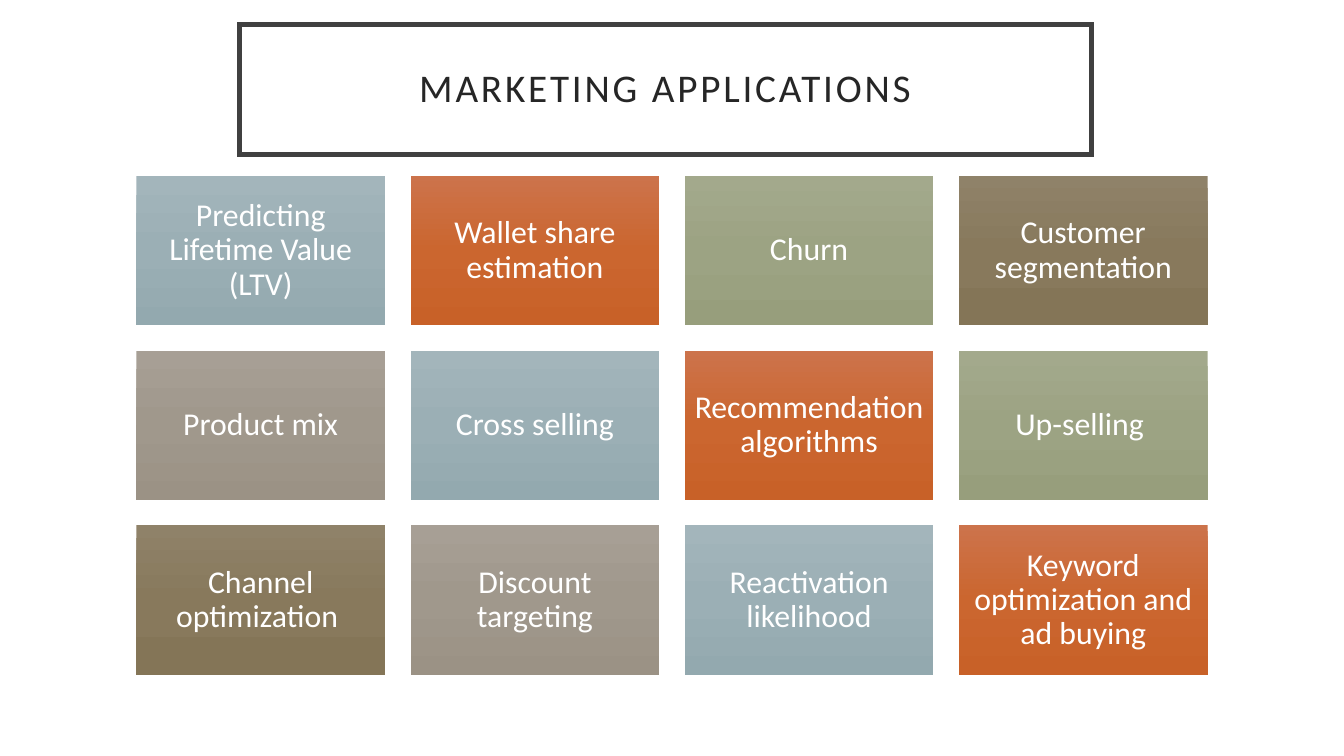
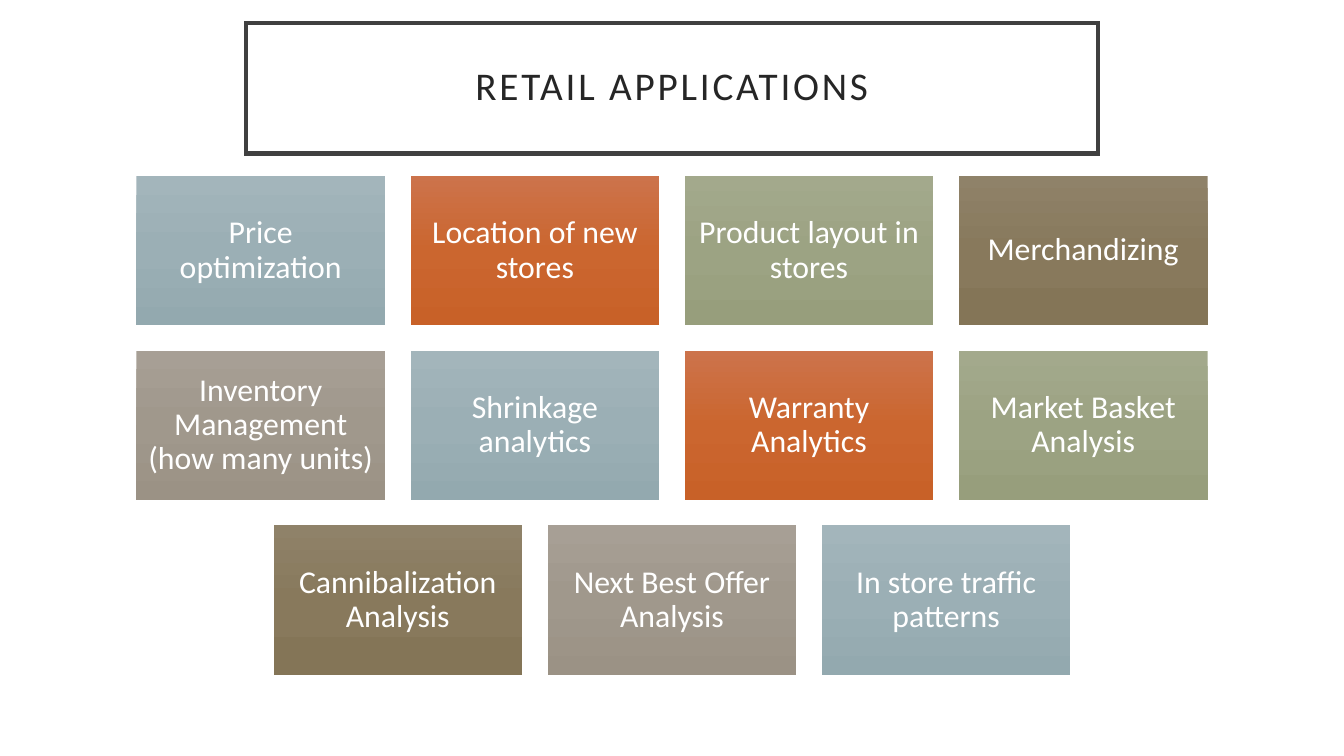
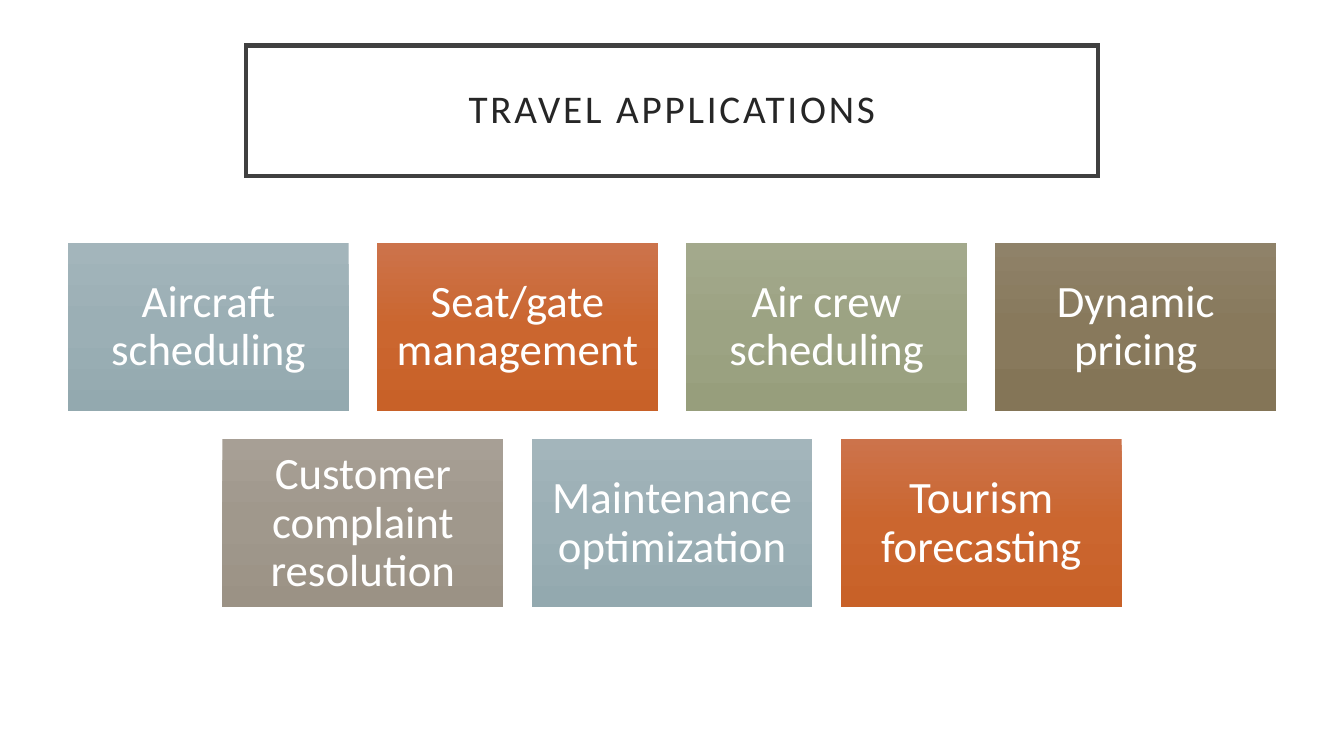
import copy
from dataclasses import dataclass

import lxml.etree
import pptx
import pptx.dml.color
import pptx.enum.shapes
import pptx.enum.text
import pptx.oxml.ns
import pptx.util

Inches = pptx.util.Inches
RGB = pptx.dml.color.RGBColor.from_string
qn = pptx.oxml.ns.qn


@dataclass(frozen=True)
class Theme:
    font: str = "Calibri"
    title_size: int = 21
    title_spacing: int = 150  # hundredths of a point
    title_text: str = "262626"
    title_border: str = "404040"
    white: str = "FFFFFF"
    # Top, middle and bottom colour of each tile gradient
    gradients: tuple = (
        ("A3B5BB", "9BAFB5", "93A9AF"),  # blue grey
        ("CC734B", "CB662F", "C86128"),  # orange
        ("A3A98C", "9CA383", "979E7C"),  # sage
        ("8F8269", "88795C", "847557"),  # brown
        ("A79F95", "A0988C", "9B9285"),  # taupe
    )


@dataclass(frozen=True)
class TileGrid:
    top: float
    width: float
    height: float
    gap: float
    inset: float
    text_size: int


THEME = Theme()
SLIDE_WIDTH = 10
SLIDE_HEIGHT = SLIDE_WIDTH * 9 / 16
TITLE_WIDTH, TITLE_HEIGHT = 6.34, 0.97
COLUMNS = 4

SMALL_TILES = TileGrid(top=1.31, width=1.85, height=1.11, gap=0.19, inset=0.07, text_size=17)
LARGE_TILES = TileGrid(top=1.81, width=2.09, height=1.25, gap=0.21, inset=0.1, text_size=24)

# Title, title left and top, tile grid, tile labels
SLIDES = [
    ("MARKETING APPLICATIONS", 1.78, 0.18, SMALL_TILES, [
        "Predicting Lifetime Value (LTV)", "Wallet share estimation",
        "Churn", "Customer segmentation",
        "Product mix", "Cross selling",
        "Recommendation algorithms", "Up-selling ",
        "Channel optimization ", "Discount targeting",
        "Reactivation likelihood", "Keyword optimization and ad buying",
    ]),
    ("RETAIL APPLICATIONS", 1.83, 0.17, SMALL_TILES, [
        "Price optimization", "Location of new stores",
        "Product layout in stores", "Merchandizing",
        "Inventory Management (how many units)", "Shrinkage analytics",
        "Warranty Analytics", "Market Basket Analysis",
        "Cannibalization Analysis", "Next Best Offer Analysis",
        "In store traffic patterns",
    ]),
    ("TRAVEL APPLICATIONS", 1.83, 0.34, LARGE_TILES, [
        "Aircraft scheduling", "Seat/gate management",
        "Air crew scheduling", "Dynamic pricing",
        "Customer complaint resolution", "Maintenance optimization",
        "Tourism forecasting",
    ]),
]


def write_centred(shape, text, size, color, inset):
    """Write one centred run into a shape."""
    frame = shape.text_frame
    frame.word_wrap = True
    frame.auto_size = pptx.enum.text.MSO_AUTO_SIZE.NONE
    frame.vertical_anchor = pptx.enum.text.MSO_ANCHOR.MIDDLE
    frame.margin_left = frame.margin_right = Inches(inset)
    frame.margin_top = frame.margin_bottom = Inches(inset)
    paragraph = frame.paragraphs[0]
    paragraph.alignment = pptx.enum.text.PP_ALIGN.CENTER
    paragraph.line_spacing = 0.9
    run = paragraph.add_run()
    run.text = text
    run.font.name = THEME.font
    run.font.size = pptx.util.Pt(size)
    run.font.color.rgb = RGB(color)


def fill_gradient(shape, colors):
    """Fill a shape from top to bottom with evenly spaced colours."""
    shape.fill.gradient()
    shape.fill.gradient_angle = 270
    stop_list = shape.element.find(".//" + qn("a:gsLst"))
    while len(stop_list) < len(colors):
        stop_list.append(copy.deepcopy(stop_list[0]))
    for index, (stop, color) in enumerate(zip(shape.fill.gradient_stops, colors)):
        stop.position = index / (len(colors) - 1)
        stop.color.rgb = RGB(color)


presentation = pptx.Presentation()
presentation.slide_width = Inches(SLIDE_WIDTH)
presentation.slide_height = Inches(SLIDE_HEIGHT)
title_only_layout = presentation.slide_layouts[5]

for title_text, title_left, title_top, grid, labels in SLIDES:
    slide = presentation.slides.add_slide(title_only_layout)

    # Title in a frame with square corners and widely spaced letters
    title = slide.shapes.title
    title.left, title.top = Inches(title_left), Inches(title_top)
    title.width, title.height = Inches(TITLE_WIDTH), Inches(TITLE_HEIGHT)
    title.fill.solid()
    title.fill.fore_color.rgb = RGB(THEME.white)
    title.line.color.rgb = RGB(THEME.title_border)
    title.line.width = pptx.util.Pt(2.5)
    lxml.etree.SubElement(title.element.find(".//" + qn("a:ln")), qn("a:miter"), lim="800000")
    write_centred(title, title_text, THEME.title_size, THEME.title_text, 0.2)
    title.element.find(".//" + qn("a:rPr")).set("spc", str(THEME.title_spacing))

    # Tiles, each row centred on the slide, colours in turn
    for index, label in enumerate(labels):
        row, column = divmod(index, COLUMNS)
        row_count = min(COLUMNS, len(labels) - row * COLUMNS)
        row_width = row_count * (grid.width + grid.gap) - grid.gap
        left = (SLIDE_WIDTH - row_width) / 2 + column * (grid.width + grid.gap)
        top = grid.top + row * (grid.height + grid.gap)
        tile = slide.shapes.add_shape(
            pptx.enum.shapes.MSO_SHAPE.RECTANGLE,
            Inches(left), Inches(top), Inches(grid.width), Inches(grid.height))
        tile.shadow.inherit = False
        tile.line.fill.background()
        fill_gradient(tile, THEME.gradients[index % len(THEME.gradients)])
        write_centred(tile, label, grid.text_size, THEME.white, grid.inset)

presentation.save("out.pptx")
